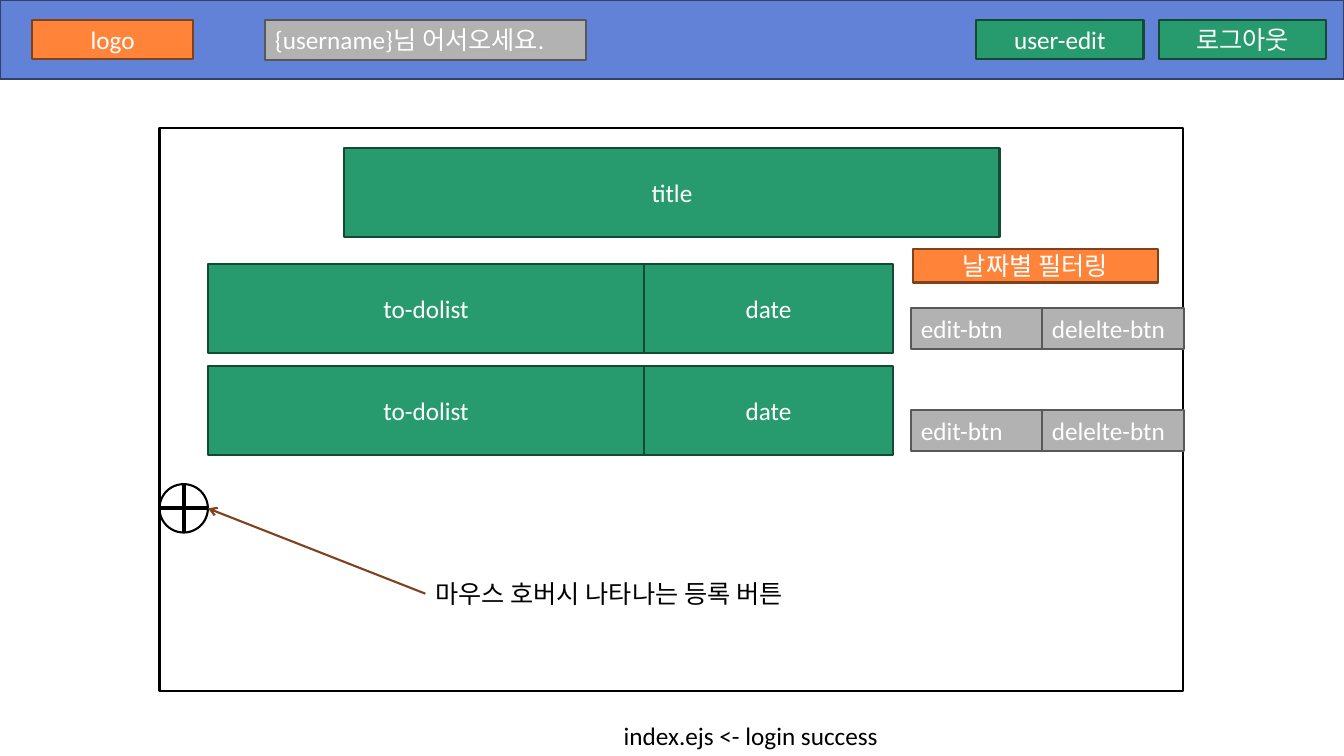
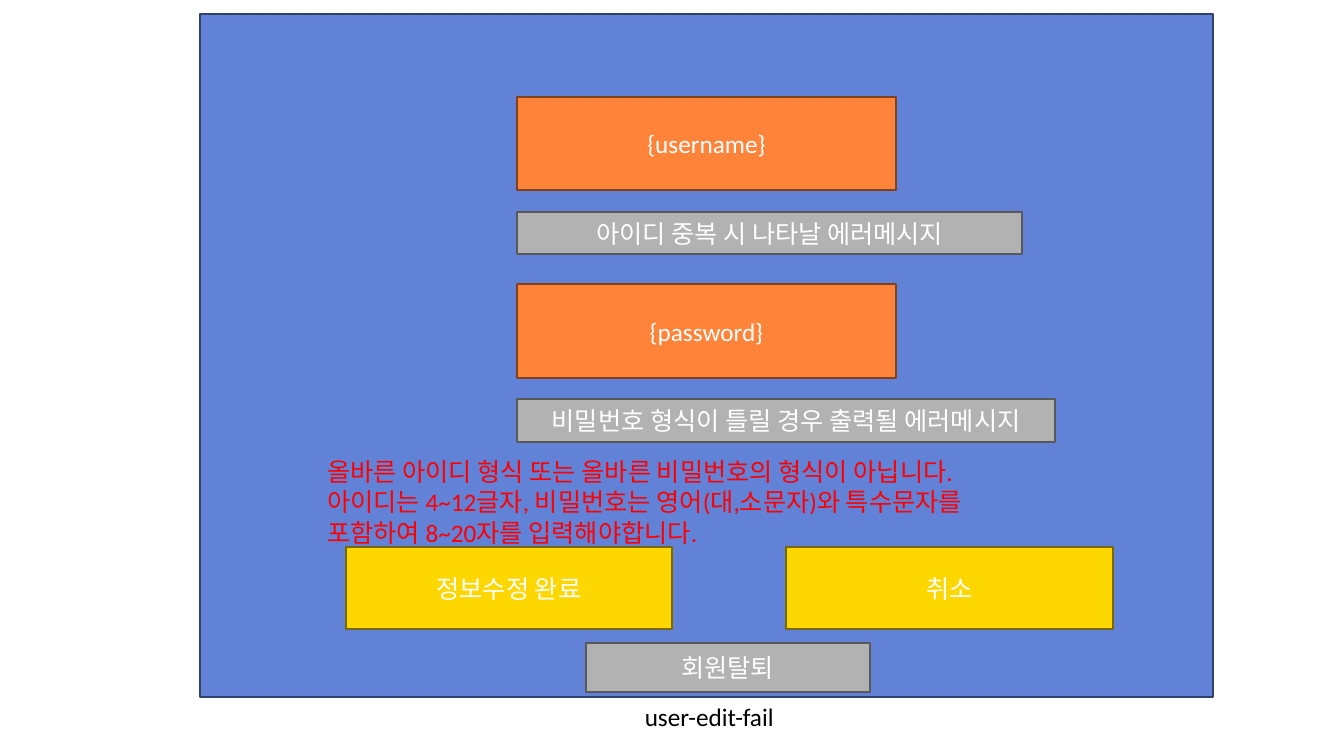
import pptx
import pptx.dml.color
import pptx.enum.shapes
import pptx.enum.text
import pptx.oxml
import pptx.oxml.ns
import pptx.util
from pptx.enum.shapes import MSO_CONNECTOR, MSO_SHAPE
from pptx.enum.text import MSO_ANCHOR, MSO_AUTO_SIZE, PP_ALIGN
from pptx.util import Cm

COLORS = {
    "blue": "6182D6", "blue_edge": "30416A",
    "green": "289B6E", "green_edge": "134A34",
    "orange": "FF843A", "orange_edge": "7F421D",
    "gray": "B2B2B2", "gray_edge": "585858",
    "yellow": "FFD700", "yellow_edge": "7A6700",
    "black": "000000", "white": "FFFFFF", "red": "FF0000",
}


class Wireframe:
    font_name = "Calibri"
    font_size = pptx.util.Pt(18)
    thin = pptx.util.Pt(1.5)
    thick = pptx.util.Pt(3)

    def __init__(self):
        self.deck = pptx.Presentation()
        self.deck.slide_width = Cm(33.87)
        self.deck.slide_height = Cm(19.05)
        self.page = None

    def new_page(self):
        self.page = self.deck.slides.add_slide(self.deck.slide_layouts[6])

    def color(self, name):
        return pptx.dml.color.RGBColor.from_string(COLORS[name])

    def set_text(self, box, text, color, align, anchor):
        frame = box.text_frame
        frame.word_wrap = True
        frame.vertical_anchor = anchor
        para = frame.paragraphs[0]
        para.text = text
        para.alignment = align
        para.font.name = self.font_name
        para.font.size = self.font_size
        para.font.color.rgb = self.color(color)

    def outline(self, shape, color):
        shape.shadow.inherit = False
        shape.line.color.rgb = self.color(color)
        shape.line.width = self.thin

    def box(self, left, top, width, height, color, text=""):
        box = self.page.shapes.add_shape(
            MSO_SHAPE.RECTANGLE, Cm(left), Cm(top), Cm(width), Cm(height))
        box.fill.solid()
        box.fill.fore_color.rgb = self.color(color)
        self.outline(box, color + "_edge")
        if text:
            self.set_text(box, text, "white", PP_ALIGN.CENTER, MSO_ANCHOR.MIDDLE)
        return box

    def tag(self, left, top, width, text):
        box = self.box(left, top, width, 1.02, "gray")
        self.set_text(box, text, "white", PP_ALIGN.LEFT, MSO_ANCHOR.TOP)
        box.text_frame.auto_size = MSO_AUTO_SIZE.SHAPE_TO_FIT_TEXT

    def frame(self, left, top, width, height):
        frame = self.page.shapes.add_shape(
            MSO_SHAPE.RECTANGLE, Cm(left), Cm(top), Cm(width), Cm(height))
        frame.fill.background()
        self.outline(frame, "black")

    def label(self, left, top, width, text, color="black", height=1.02):
        box = self.page.shapes.add_textbox(Cm(left), Cm(top), Cm(width), Cm(height))
        self.set_text(box, text, color, PP_ALIGN.LEFT, MSO_ANCHOR.TOP)
        box.text_frame.auto_size = MSO_AUTO_SIZE.SHAPE_TO_FIT_TEXT
        return box

    def line(self, shapes, start, end, color, width):
        line = shapes.add_connector(
            MSO_CONNECTOR.STRAIGHT, *(Cm(value) for value in start + end))
        line.line.color.rgb = self.color(color)
        line.line.width = width
        properties = line.element.spPr
        properties.append(pptx.oxml.parse_xml(
            f'<a:effectLst {pptx.oxml.ns.nsdecls("a")}/>'))
        return line

    def arrow(self, source, start, end, color):
        arrow = self.line(self.page.shapes, start, end, color, self.thin)
        arrow.begin_connect(source, 1)
        stroke = arrow.element.spPr.find(pptx.oxml.ns.qn("a:ln"))
        stroke.append(pptx.oxml.parse_xml(
            f'<a:tailEnd {pptx.oxml.ns.nsdecls("a")} type="arrow"/>'))

    def plus_button(self, left, top, size):
        shapes = self.page.shapes.add_group_shape().shapes
        circle = shapes.add_shape(
            MSO_SHAPE.OVAL, Cm(left), Cm(top), Cm(size), Cm(size))
        circle.fill.background()
        self.outline(circle, "black")
        middle_x, middle_y = left + size / 2, top + size / 2
        self.line(shapes, (left, middle_y), (left + size, middle_y), "black", self.thick)
        self.line(shapes, (middle_x, top), (middle_x, top + size), "black", self.thick)


def build_todo_page(style):
    style.new_page()
    style.box(0, 0, 33.87, 2, "blue")
    style.box(0.81, 0.5, 4.06, 1, "orange", "logo")
    style.tag(6.68, 0.5, 8.1, "{username}님 어서오세요.")
    for left, text in ((24.6, "user-edit"), (29.2, "로그아웃")):
        style.box(left, 0.5, 4.22, 1, "green", text)

    style.frame(4.02, 3.22, 25.8, 14.2)
    style.box(8.68, 3.73, 16.51, 2.24, "green", "title")
    style.box(23, 6.28, 6.18, 0.84, "orange", "날짜별 필터링")
    for row in range(2):
        top = 6.65 + row * 2.57
        style.box(5.24, top, 11, 2.24, "green", "to-dolist")
        style.box(16.24, top, 6.26, 2.24, "green", "date")
        style.tag(22.96, top + 1.12, 3.3, "edit-btn")
        style.tag(26.26, top + 1.12, 3.58, "delelte-btn")

    style.plus_button(4.02, 12.2, 1.22)
    hint = style.label(10.72, 14.45, 10.72, "마우스 호버시 나타나는 등록 버튼")
    style.arrow(hint, (10.72, 14.96), (5.24, 12.81), "orange_edge")
    style.label(15.47, 18.03, 9.47, "index.ejs <- login success")


def build_edit_page(style):
    style.new_page()
    style.box(5.03, 0.36, 25.53, 17.2, "blue")
    fields = (
        ("{username}", "아이디 중복 시 나타날 에러메시지", 12.73),
        ("{password}", "비밀번호 형식이 틀릴 경우 출력될 에러메시지", 13.56),
    )
    for row, (field, message, width) in enumerate(fields):
        top = 2.44 + row * 4.72
        style.box(13.03, top, 9.55, 2.36, "orange", field)
        style.box(13.03, top + 2.9, width, 1.07, "gray", message)
    for left, text in ((8.71, "정보수정 완료"), (19.81, "취소")):
        style.box(left, 13.79, 8.23, 2.06, "yellow", text)
    style.box(14.76, 16.2, 7.16, 1.24, "gray", "회원탈퇴")
    style.label(
        8, 11.38, 18.6,
        "올바른 아이디 형식 또는 올바른 비밀번호의 형식이 아닙니다. "
        "아이디는 4~12글자, 비밀번호는 영어(대,소문자)와 특수문자를 "
        "포함하여 8~20자를 입력해야합니다.",
        "red", 2.51)
    style.label(16, 17.55, 7.14, "user-edit-fail")


def main():
    style = Wireframe()
    build_todo_page(style)
    build_edit_page(style)
    style.deck.save("out.pptx")


if __name__ == "__main__":
    main()
